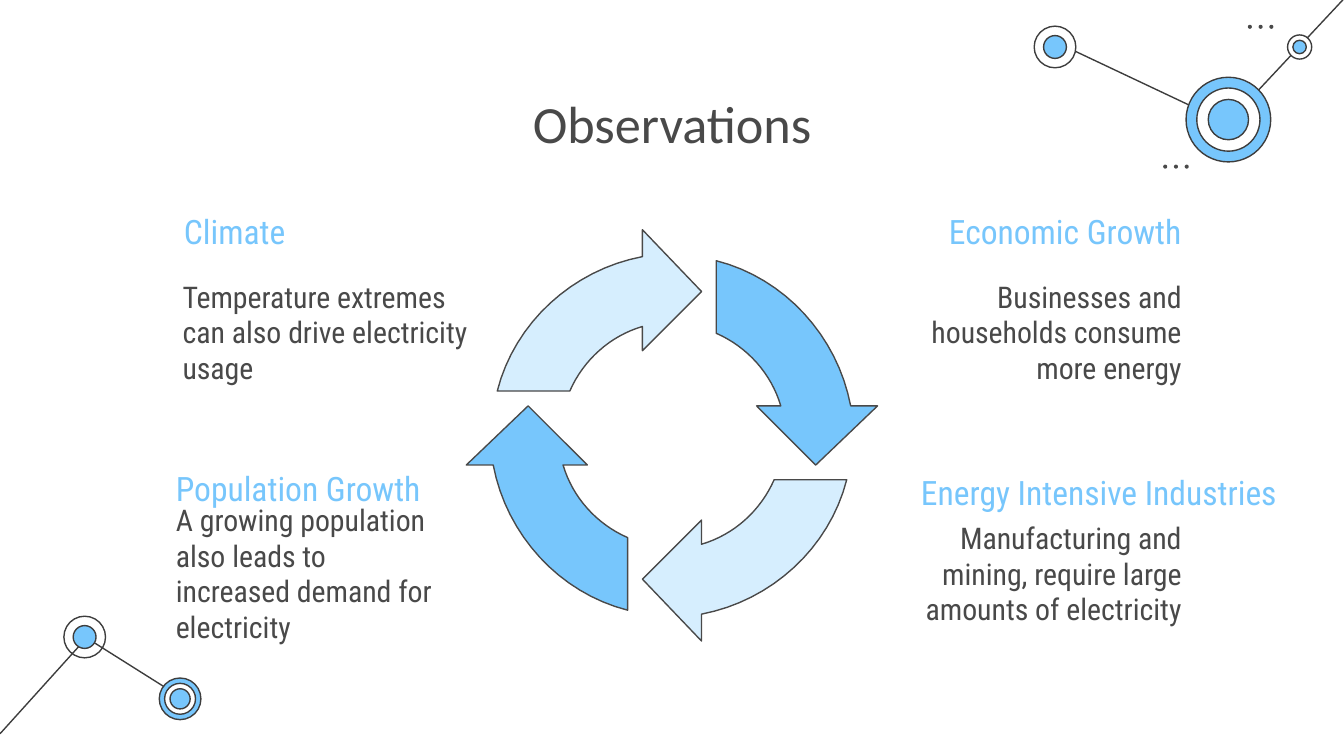
"""Build the Observations slide: a four-arrow cycle with a caption at each corner."""
from lxml import etree
from pptx import Presentation
from pptx.dml.color import RGBColor
from pptx.enum.shapes import MSO_CONNECTOR, MSO_SHAPE
from pptx.enum.text import MSO_ANCHOR, PP_ALIGN
from pptx.oxml.ns import qn
from pptx.util import Inches, Pt

STRAIGHT, OVAL = MSO_CONNECTOR.STRAIGHT, MSO_SHAPE.OVAL
TOP, MIDDLE = MSO_ANCHOR.TOP, MSO_ANCHOR.MIDDLE
LEFT, CENTER, RIGHT = PP_ALIGN.LEFT, PP_ALIGN.CENTER, PP_ALIGN.RIGHT

SLIDE_WIDTH = Inches(10)
SLIDE_HEIGHT = SLIDE_WIDTH * 9 // 16

COLORS = {"blue": "77C6FC", "pale": "D6EEFE", "white": "FFFFFF",
          "text": "494949", "outline": "3D3D3D"}

TITLE = ("Observations", (0.79, 0.58, 8.42, 0.63))
HEADINGS = [
    ("Climate", (1.27, 1.52, 2.19, 0.4), MIDDLE, LEFT),
    ("Population Growth", (1.21, 3.38, 2.19, 0.4), TOP, LEFT),
    ("Economic Growth", (6.7, 1.52, 2.19, 0.4), MIDDLE, RIGHT),
    ("Energy Intensive Industries", (6.7, 3.41, 2.9, 0.4), TOP, RIGHT),
]
DETAILS = [
    ("Temperature extremes can also drive electricity usage",
     (1.26, 1.99, 2.49, 0.96), MIDDLE, LEFT),
    ("A growing population also leads to increased demand for electricity",
     (1.21, 3.93, 2.19, 0.67), MIDDLE, LEFT),
    ("Businesses and households consume more energy",
     (6.7, 1.92, 2.19, 1.1), MIDDLE, RIGHT),
    ("Manufacturing and mining, require large amounts of electricity",
     (6.7, 3.93, 2.19, 0.67), MIDDLE, RIGHT),
]

LINKS = [((0.65, 4.75), (1.38, 5.21)), ((0, 5.46), (0.65, 4.74)),
         ((9.14, 0.92), (7.87, 0.32)), ((10, -0.01), (9.14, 0.91))]
NODES = [
    ((0.63, 4.74), [(0.31, None), (0.17, "blue")]),
    ((1.34, 5.2), [(0.31, "blue"), (0.23, "white"), (0.15, "blue")]),
    ((9.14, 0.89), [(0.63, "blue"), (0.47, "white"), (0.3, "blue")]),
    ((7.85, 0.35), [(0.31, "white"), (0.17, "blue")]),
    ((9.67, 0.35), [(0.18, "white"), (0.1, "blue")]),
]
ELLIPSES = [(9.3, 0.2), (8.67, 1.24)]
DOT_SIZE, DOT_PITCH = 0.03, 0.08

CYCLE_CENTER = (5, 3.24)
ARROW_START = (0.33, -1.3)
ARROW = [
    [(0.33, -0.76)],
    [(0.56, -0.66), (0.74, -0.46), (0.81, -0.22)],
    [(0.63, -0.22)], [(1.07, 0.22)], [(1.53, -0.22)], [(1.33, -0.22)],
    [(1.23, -0.74), (0.84, -1.17), ARROW_START],
]
ARROW_FILLS = ["blue", "pale", "blue", "pale"]
CURVE_STEPS = 16


def rgb(color):
    return RGBColor.from_string(COLORS[color])


def paint(shape, fill, outline=None):
    shape.shadow.inherit = False
    if fill:
        shape.fill.solid()
        shape.fill.fore_color.rgb = rgb(fill)
    else:
        shape.fill.background()
    if outline:
        shape.line.color.rgb = rgb(outline)
        shape.line.width = Pt(0.75)
    else:
        shape.line.fill.background()


def add_circle(slide, center, size, fill, outline=None):
    x, y = (Inches(c - size / 2) for c in center)
    circle = slide.shapes.add_shape(OVAL, x, y, Inches(size), Inches(size))
    paint(circle, fill, outline)


def add_link(slide, start, end):
    ends = [Inches(value) for value in (*start, *end)]
    link = slide.shapes.add_connector(STRAIGHT, *ends)
    link.line.color.rgb = rgb("outline")
    link.line.width = Pt(0.75)
    etree.SubElement(link._element.spPr, qn("a:effectLst"))


def bezier(p0, p1, p2, p3):
    for step in range(1, CURVE_STEPS + 1):
        t = step / CURVE_STEPS
        u = 1 - t
        yield tuple(u**3 * a + 3 * u * u * t * b + 3 * u * t * t * c + t**3 * d
                    for a, b, c, d in zip(p0, p1, p2, p3))


def arrow_outline():
    points = [ARROW_START]
    for segment in ARROW:
        points += bezier(points[-1], *segment) if len(segment) == 3 else segment
    return points


def add_cycle(slide):
    points = arrow_outline()
    for fill in ARROW_FILLS:
        corners = [(Inches(CYCLE_CENTER[0] + x), Inches(CYCLE_CENTER[1] + y))
                   for x, y in points]
        builder = slide.shapes.build_freeform(*corners[0])
        builder.add_line_segments(corners[1:], close=True)
        paint(builder.convert_to_shape(), fill, "text")
        points = [(-y, x) for x, y in points]


def add_text(slide, text, place, anchor, align, font, size, color):
    frame = slide.shapes.add_textbox(*map(Inches, place)).text_frame
    frame.word_wrap = True
    frame.vertical_anchor = anchor
    frame.margin_left = frame.margin_right = Inches(0.1)
    frame.margin_top = frame.margin_bottom = Inches(0.1)
    frame.text = text
    paragraph = frame.paragraphs[0]
    paragraph.alignment = align
    style = paragraph.runs[0].font
    style.name, style.size, style.color.rgb = font, Pt(size), rgb(color)


def main():
    deck = Presentation()
    deck.slide_width, deck.slide_height = SLIDE_WIDTH, SLIDE_HEIGHT
    slide = deck.slides.add_slide(deck.slide_layouts[6])

    for start, end in LINKS:
        add_link(slide, start, end)
    for center, rings in NODES:
        for size, fill in rings:
            add_circle(slide, center, size, fill, "outline")
    for x, y in ELLIPSES:
        for i in range(3):
            add_circle(slide, (x + i * DOT_PITCH, y), DOT_SIZE, "text")

    add_text(slide, *TITLE, TOP, CENTER, "Calibri", 28, "text")
    add_cycle(slide)
    for heading in HEADINGS:
        add_text(slide, *heading, "Roboto Condensed", 18, "blue")
    for detail in DETAILS:
        add_text(slide, *detail, "Roboto Condensed", 16, "text")
    deck.save("out.pptx")


if __name__ == "__main__":
    main()
